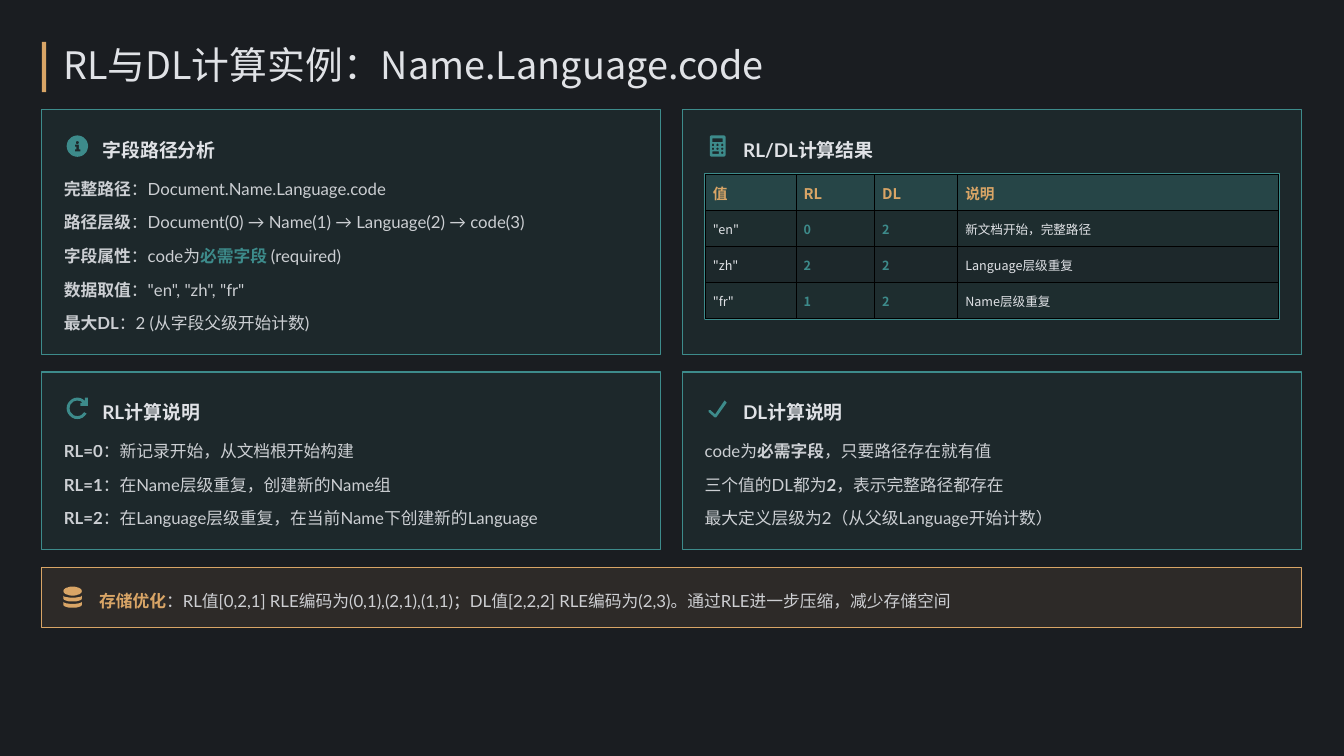
from math import cos, pi, sin

from lxml import etree
from pptx import Presentation
from pptx.dml.color import RGBColor
from pptx.enum.shapes import MSO_SHAPE
from pptx.enum.text import MSO_ANCHOR
from pptx.oxml.ns import qn
from pptx.util import Cm, Pt

RECT = MSO_SHAPE.RECTANGLE
MIDDLE = MSO_ANCHOR.MIDDLE
BACK, TEAL, GOLD, LIGHT = "1A1D21", "3D8B8B", "D9A566", "E0E2E6"
LATO, NOTO = "Lato", "Noto Sans CJK SC"
NO_STYLE = "{2D5ABB26-0587-4C30-8999-92F81FD0307C}"


def paint(fill, color, alpha=100):
    fill.solid()
    fill.fore_color.rgb = RGBColor.from_string(color)
    if alpha < 100:
        clr = fill._xPr.find(qn("a:solidFill"))[0]
        etree.SubElement(clr, qn("a:alpha"), val=str(alpha * 1000))


def add_text(left, top, width, height, runs, size, alpha=100, font=LATO, spacing=1.3):
    tf = shapes.add_textbox(Cm(left), Cm(top), Cm(width), Cm(height)).text_frame
    tf.word_wrap = True
    tf.vertical_anchor = MIDDLE
    tf.margin_left = tf.margin_right = tf.margin_top = tf.margin_bottom = 0
    p = tf.paragraphs[0]
    p.line_spacing = spacing
    p.font.size = Pt(size)
    p.font.name = font
    for text, bold, color in runs:
        r = p.add_run()
        r.text = text
        r.font.bold = bold
        paint(r.font.fill, color, alpha if color == LIGHT else 100)


prs = Presentation()
prs.slide_width, prs.slide_height = Cm(45.16), Cm(25.4)
s = prs.slides.add_slide(prs.slide_layouts[6])
shapes = s.shapes
paint(s.background.fill, BACK)

bar = shapes.add_shape(RECT, Cm(1.41), Cm(1.41), Cm(0.14), Cm(1.69))
bar.shadow.inherit = False
paint(bar.fill, GOLD)
bar.line.fill.background()
add_text(2.12, 1.55, 24.87, 1.42, [("RL与DL计算实例：Name.Language.code", False, LIGHT)],
         36, font=NOTO, spacing=0.9)

LEFT, RIGHT, CARD_W = 1.41, 22.94, 20.78
TOP, BOTTOM = 3.68, 12.5
panels = [
    (LEFT, TOP, CARD_W, 8.23, TEAL),
    (RIGHT, TOP, CARD_W, 8.23, TEAL),
    (LEFT, BOTTOM, CARD_W, 5.97, TEAL),
    (RIGHT, BOTTOM, CARD_W, 5.97, TEAL),
    (LEFT, 19.08, 42.31, 2.01, GOLD),
]
for left, top, width, height, color in panels:
    sp = shapes.add_shape(RECT, Cm(left), Cm(top), Cm(width), Cm(height))
    sp.shadow.inherit = False
    paint(sp.fill, color, 10)
    paint(sp.line.fill, color)
    sp.line.width = Pt(1)

cards = [
    (LEFT, TOP, "字段路径分析", 4.11, [
        [("完整路径", True, LIGHT), ("：Document.Name.Language.code", False, LIGHT)],
        [("路径层级", True, LIGHT),
         ("：Document(0) → Name(1) → Language(2) → code(3)", False, LIGHT)],
        [("字段属性", True, LIGHT), ("：code为", False, LIGHT),
         ("必需字段", True, TEAL), (" (required)", False, LIGHT)],
        [("数据取值", True, LIGHT), ('："en", "zh", "fr"', False, LIGHT)],
        [("最大DL", True, LIGHT), ("：2 (从字段父级开始计数)", False, LIGHT)],
    ]),
    (RIGHT, TOP, "RL/DL计算结果", 4.7, []),
    (LEFT, BOTTOM, "RL计算说明", 3.61, [
        [("RL=0", True, LIGHT), ("：新记录开始，从文档根开始构建", False, LIGHT)],
        [("RL=1", True, LIGHT), ("：在Name层级重复，创建新的Name组", False, LIGHT)],
        [("RL=2", True, LIGHT),
         ("：在Language层级重复，在当前Name下创建新的Language", False, LIGHT)],
    ]),
    (RIGHT, BOTTOM, "DL计算说明", 3.66, [
        [("code为", False, LIGHT), ("必需字段", True, LIGHT),
         ("，只要路径存在就有值", False, LIGHT)],
        [("三个值的DL都为", False, LIGHT), ("2", True, LIGHT),
         ("，表示完整路径都存在", False, LIGHT)],
        [("最大定义层级为2（从父级Language开始计数）", False, LIGHT)],
    ]),
]
for left, top, heading, width, lines in cards:
    add_text(left + 2.03, top + 0.74, width, 0.99, [(heading, True, LIGHT)], 18)
    for i, runs in enumerate(lines):
        add_text(left + 0.74, top + 2.13 + i * 1.13, 19.61, 0.84, runs, 16, 90)

add_text(3.33, 19.66, 29.03, 0.84, [
    ("存储优化", True, GOLD),
    ("：RL值[0,2,1] RLE编码为(0,1),(2,1),(1,1)；DL值[2,2,2] RLE编码为(2,3)。"
     "通过RLE进一步压缩，减少存储空间", False, LIGHT),
], 16, 90)

frame = shapes.add_shape(RECT, Cm(23.69), Cm(5.84), Cm(19.3), Cm(4.88))
frame.shadow.inherit = False
frame.fill.background()
paint(frame.line.fill, TEAL)
frame.line.width = Pt(1)

rows = [
    ("值", "RL", "DL", "说明"),
    ('"en"', "0", "2", "新文档开始，完整路径"),
    ('"zh"', "2", "2", "Language层级重复"),
    ('"fr"', "1", "2", "Name层级重复"),
]
row_alphas = [30, 5, 0, 5]
col_widths = [3.05, 2.64, 2.79, 10.77]
table = shapes.add_table(4, 4, Cm(23.7), Cm(5.87), Cm(19.25), Cm(4.84)).table
table._tbl.tblPr.find(qn("a:tableStyleId")).text = NO_STYLE
table.horz_banding = False
for col, width in zip(table.columns, col_widths):
    col.width = Cm(width)
for i, row in enumerate(rows):
    table.rows[i].height = Cm(1.21)
    for j, text in enumerate(row):
        cell = table.cell(i, j)
        cell.text = text
        cell.vertical_anchor = MIDDLE
        tcPr = cell._tc.get_or_add_tcPr()
        for side in ("a:lnL", "a:lnR", "a:lnT", "a:lnB"):
            ln = etree.SubElement(tcPr, qn(side), w=str(Pt(1)))
            solid = etree.SubElement(ln, qn("a:solidFill"))
            etree.SubElement(solid, qn("a:srgbClr"), val="000000")
        if row_alphas[i]:
            paint(cell.fill, TEAL, row_alphas[i])
        else:
            cell.fill.background()
        font = cell.text_frame.paragraphs[0].font
        font.name = NOTO
        font.size = Pt(12 if i else 14)
        font.bold = i == 0 or j in (1, 2)
        paint(font.fill, GOLD if i == 0 else TEAL if j in (1, 2) else LIGHT)

ring = [(cos(k * pi / 16), sin(k * pi / 16)) for k in range(32)]
half = [(cos(k * pi / 12), sin(k * pi / 12)) for k in range(13)]
arc = [(cos(a * pi / 180), sin(a * pi / 180)) for a in range(-45, -331, -15)]

info = [
    [(36 + 36 * x, 36 + 36 * y) for x, y in ring],
    [(36 + 5 * x, 24 + 5 * y) for x, y in ring],
    [(28, 31), (41, 31), (41, 47), (46, 47), (46, 54),
     (28, 54), (28, 47), (33, 47), (33, 38), (28, 38)],
]
keys = [(11, 32), (26, 32), (42, 32), (11, 45), (26, 45), (42, 45), (42, 58)]
calculator = [
    [(4, 0), (49, 0), (53, 4), (53, 67), (49, 71), (4, 71), (0, 67), (0, 4)],
    [(9, 10), (43, 10), (43, 23), (9, 23)],
    [(9, 54), (31, 54), (31, 62), (9, 62)],
] + [[(cx + 4 * x, cy + 4 * y) for x, y in ring] for cx, cy in keys]
redo = [
    [(36 + 36 * x, 36 + 36 * y) for x, y in arc]
    + [(36 + 26 * x, 36 + 26 * y) for x, y in reversed(arc)]
    + [(46, 18), (46, 28), (71, 28), (71, 0), (61, 0)],
]
check = [[(55, 0), (62, 7), (27, 56), (21, 56), (1, 38), (1, 32), (7, 32), (23, 46), (53, 2)]]
database = [[(31 + 31 * x, 15 + 15 * y) for x, y in ring]] + [
    [(31 + 31 * x, y0 + 7 * y) for x, y in half]
    + [(31 + 31 * x, y0 + 10 + 10 * y) for x, y in reversed(half)]
    for y0 in (30, 51)
]
icons = [
    (2.24, 4.55, info, TEAL),
    (23.85, 4.55, calculator, TEAL),
    (2.24, 13.36, redo, TEAL),
    (23.8, 13.46, check, TEAL),
    (2.13, 19.71, database, GOLD),
]
for left, top, outlines, color in icons:
    builder = shapes.build_freeform(*outlines[0][0], scale=Cm(0.01))
    for points in outlines:
        builder.move_to(*points[0])
        builder.add_line_segments(points[1:], close=True)
    icon = builder.convert_to_shape(Cm(left), Cm(top))
    icon.shadow.inherit = False
    paint(icon.fill, color)
    icon.line.fill.background()

prs.save("out.pptx")
